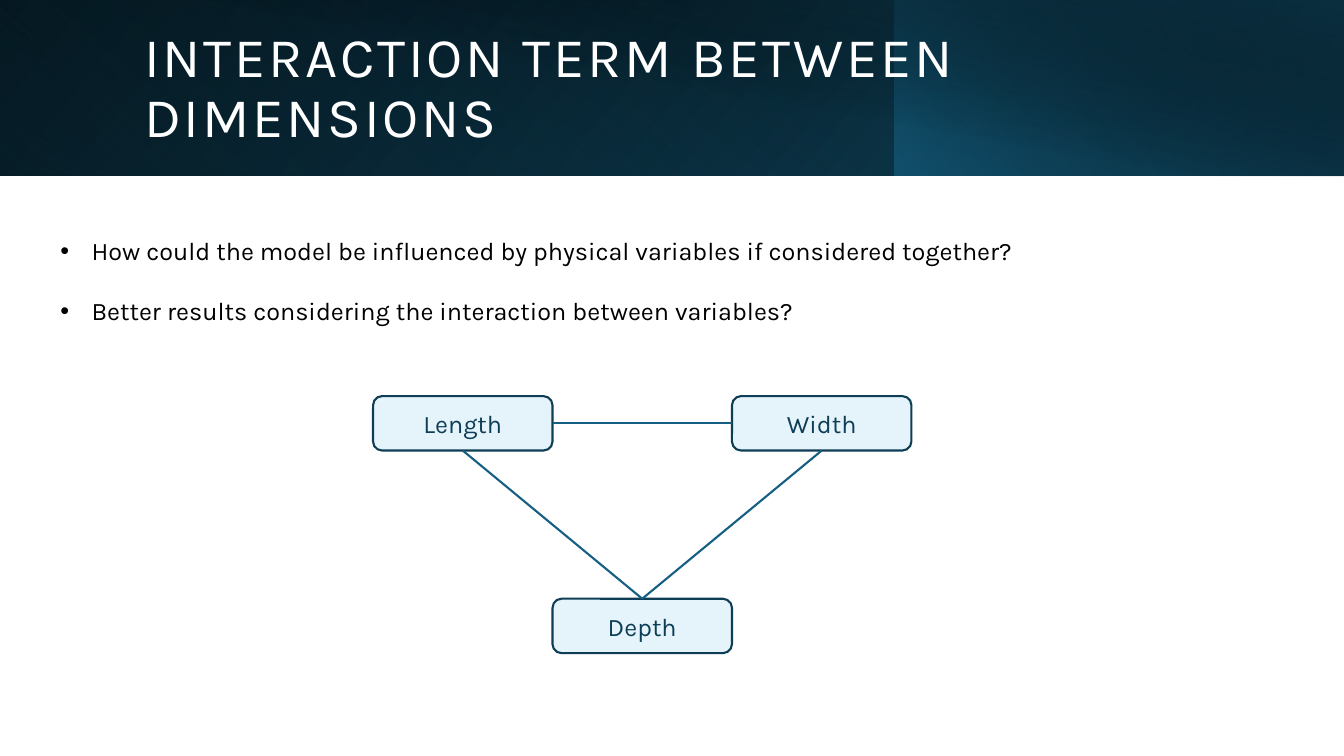
"""Build a slide on the interaction term between three physical dimensions."""
import lxml.etree
import pptx
import pptx.dml.color
import pptx.enum.shapes
import pptx.enum.text
import pptx.oxml
import pptx.oxml.ns
import pptx.util

Inches, Pt = pptx.util.Inches, pptx.util.Pt
qn = pptx.oxml.ns.qn
ANCHOR = pptx.enum.text.MSO_ANCHOR
ALIGN = pptx.enum.text.PP_ALIGN
SHAPE = pptx.enum.shapes.MSO_SHAPE

FONT = "Karla"
NAVY, BLUE, PALE = "0E3E55", "156082", "E5F4FB"
TITLE = "INTERACTION TERM BETWEEN DIMENSIONS"
QUESTIONS = [
    "How could the model be influenced by physical variables if considered together?",
    "Better results considering the interaction between variables?",
]
# Each band: box, angle, then stops of position, colour and opacity in percent
BANDS = [
    ((0, 0, 13.33, 1.74), 40, [(0, "000000", 100), (100, "104862", 100)]),
    ((0, 0, 8.88, 1.74), 130, [(20, "156082", 0), (100, "0B3041", 55)]),
    ((8.87, 0, 4.46, 1.74), 320, [(0, "156082", 66), (100, "000000", 30)]),
    ((0.5, 0, 12.83, 1.75), 280, [(50, "000000", 0), (99, "0B3041", 52)]),
]
NODE_WIDTH, NODE_HEIGHT = 1.78, 0.54
NODES_LEFT, NODES_TOP, ROW_STEP = 3.7, 3.93, 2.01
NODES = {"Length": (0, 0), "Width": (2, 0), "Depth": (1, 1)}
TOP, LEFT, BOTTOM, RIGHT = range(4)
LINKS = [
    ("Length", BOTTOM, "Depth", TOP),
    ("Depth", TOP, "Width", BOTTOM),
    ("Width", LEFT, "Length", RIGHT),
]


def color(value):
    return pptx.dml.color.RGBColor.from_string(value)


def box(values):
    return [Inches(value) for value in values]


def add_run(paragraph, text, size, value):
    run = paragraph.add_run()
    run.text = text
    run.font.name = FONT
    run.font.size = Pt(size)
    run.font.color.rgb = color(value)
    return run


def add_band(slide, bounds, angle, stops):
    band = slide.shapes.add_shape(SHAPE.RECTANGLE, *box(bounds))
    band.shadow.inherit = False
    band.line.fill.background()
    band.fill.background()
    gradient = lxml.etree.Element(qn("a:gradFill"), rotWithShape="1")
    stop_list = lxml.etree.SubElement(gradient, qn("a:gsLst"))
    for position, value, opacity in stops:
        stop = lxml.etree.SubElement(stop_list, qn("a:gs"), pos=str(position * 1000))
        tint = lxml.etree.SubElement(stop, qn("a:srgbClr"), val=value)
        lxml.etree.SubElement(tint, qn("a:alpha"), val=str(opacity * 1000))
    lxml.etree.SubElement(gradient, qn("a:lin"), ang=str(angle * 60000), scaled="0")
    properties = band._element.spPr
    properties.replace(properties.find(qn("a:noFill")), gradient)
    return band


def add_title(slide, last_band):
    title = slide.shapes.title
    last_band._element.addnext(title._element)
    title.left, title.top, title.width, title.height = box((1.33, 0.32, 11.86, 1.13))
    frame = title.text_frame
    frame.auto_size = pptx.enum.text.MSO_AUTO_SIZE.NONE
    frame.word_wrap = True
    frame.vertical_anchor = ANCHOR.MIDDLE
    frame.margin_right = Inches(0.5)
    paragraph = frame.paragraphs[0]
    paragraph.alignment = ALIGN.LEFT
    paragraph.line_spacing = 0.9
    run = add_run(paragraph, TITLE, 40, "FFFFFF")
    run.font._element.set("spc", "200")


def add_questions(slide):
    frame = slide.shapes.add_textbox(*box((0.5, 1.91, 12.33, 1.75))).text_frame
    frame.word_wrap = True
    frame.vertical_anchor = ANCHOR.MIDDLE
    for index, question in enumerate(QUESTIONS):
        paragraph = frame.add_paragraph() if index else frame.paragraphs[0]
        properties = paragraph._p.get_or_add_pPr()
        properties.set("marL", str(Inches(0.31)))
        properties.set("indent", str(-Inches(0.31)))
        lxml.etree.SubElement(properties, qn("a:buFont"), typeface="Arial")
        lxml.etree.SubElement(properties, qn("a:buChar"), char="•")
        if index:
            paragraph.space_before = Pt(21.5)
        add_run(paragraph, question, 18, "000000")


def add_node(slide, name, column, row):
    left = NODES_LEFT + column * NODE_WIDTH
    top = NODES_TOP + row * ROW_STEP
    node = slide.shapes.add_shape(
        SHAPE.ROUNDED_RECTANGLE, *box((left, top, NODE_WIDTH, NODE_HEIGHT)))
    node.shadow.inherit = False
    node.fill.solid()
    node.fill.fore_color.rgb = color(PALE)
    node.line.color.rgb = color(NAVY)
    node.line.width = Pt(1.5)
    node.text_frame.vertical_anchor = ANCHOR.MIDDLE
    paragraph = node.text_frame.paragraphs[0]
    paragraph.alignment = ALIGN.CENTER
    run = add_run(paragraph, name, 18, NAVY)
    outline = lxml.etree.Element(qn("a:ln"), w=str(Pt(0.75)))
    fill = lxml.etree.SubElement(outline, qn("a:solidFill"))
    lxml.etree.SubElement(fill, qn("a:srgbClr"), val=NAVY)
    run.font._element.insert(0, outline)
    return node


def add_link(slide, start, start_side, end, end_side):
    link = slide.shapes.add_connector(
        pptx.enum.shapes.MSO_CONNECTOR.STRAIGHT, 0, 0, 0, 0)
    link.begin_connect(start, start_side)
    link.end_connect(end, end_side)
    link.line.color.rgb = color(BLUE)
    link.line.width = Pt(1.5)
    lxml.etree.SubElement(link._element.spPr, qn("a:effectLst"))


def main():
    presentation = pptx.Presentation()
    presentation.slide_width = Inches(13.33)
    presentation.slide_height = Inches(7.5)
    slide = presentation.slides.add_slide(presentation.slide_layouts[5])
    bands = [add_band(slide, *band) for band in BANDS]
    add_title(slide, bands[-1])
    add_questions(slide)
    nodes = {name: add_node(slide, name, *cell) for name, cell in NODES.items()}
    for start, start_side, end, end_side in LINKS:
        add_link(slide, nodes[start], start_side, nodes[end], end_side)
    presentation.save("out.pptx")


if __name__ == "__main__":
    main()
